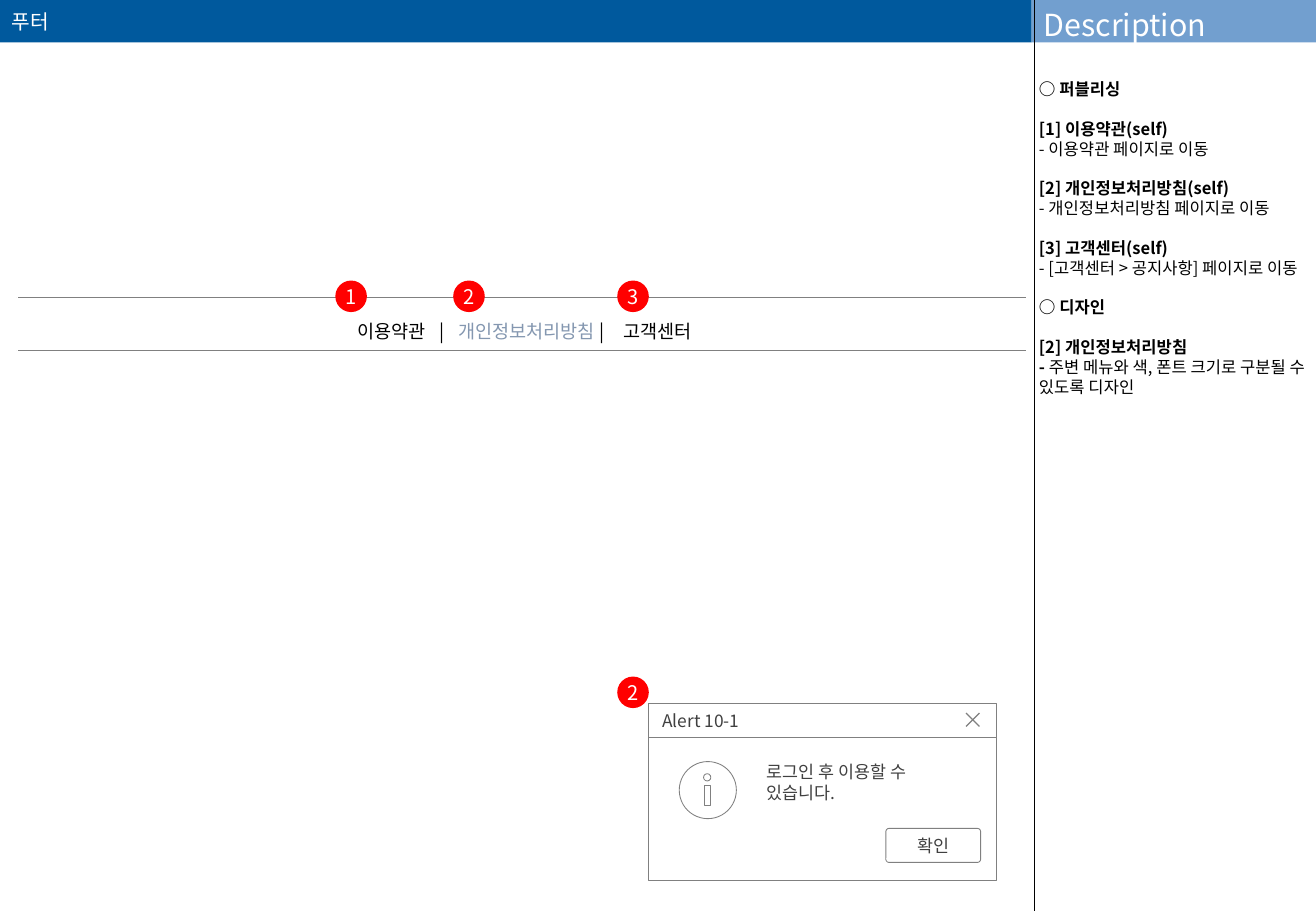
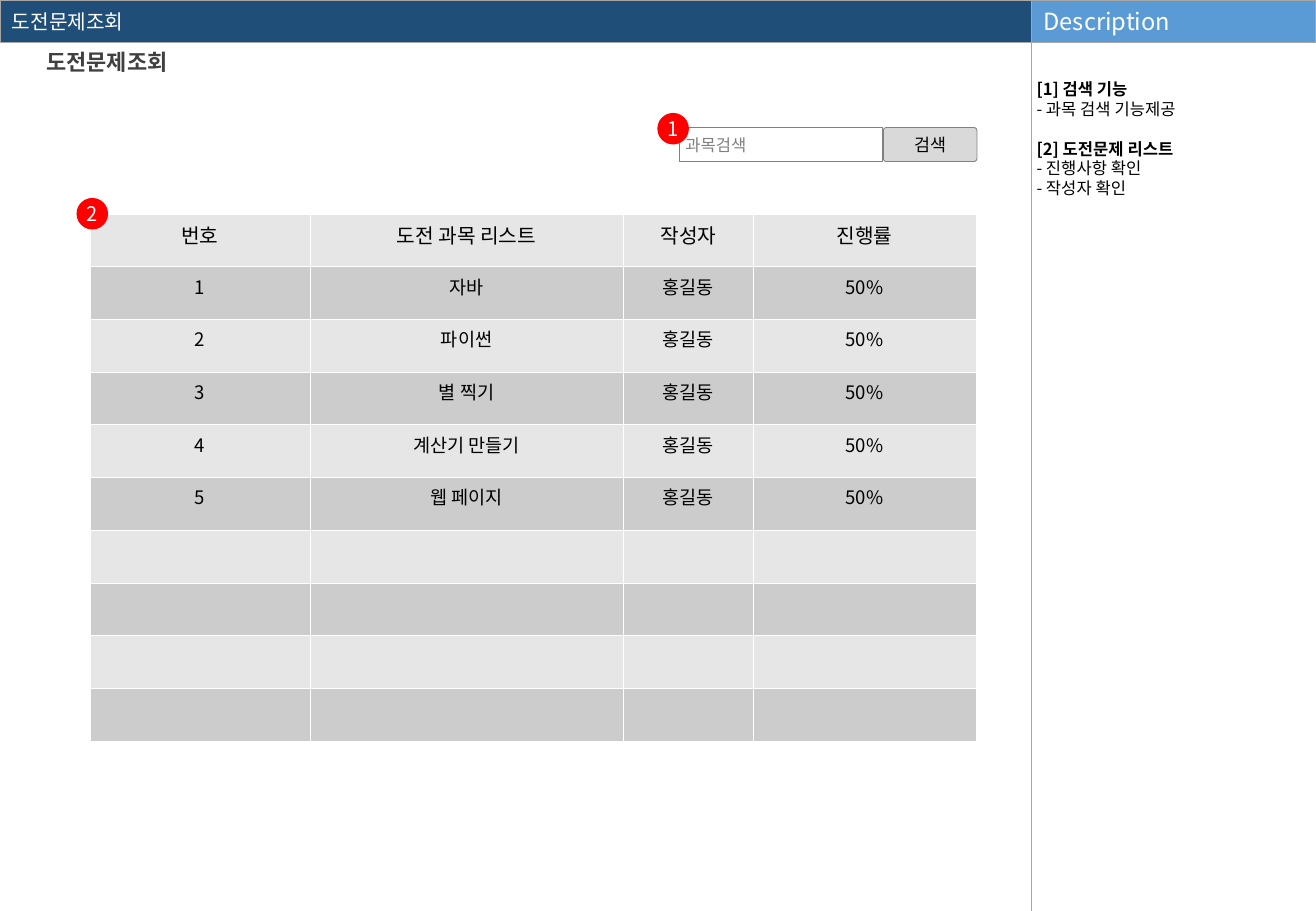
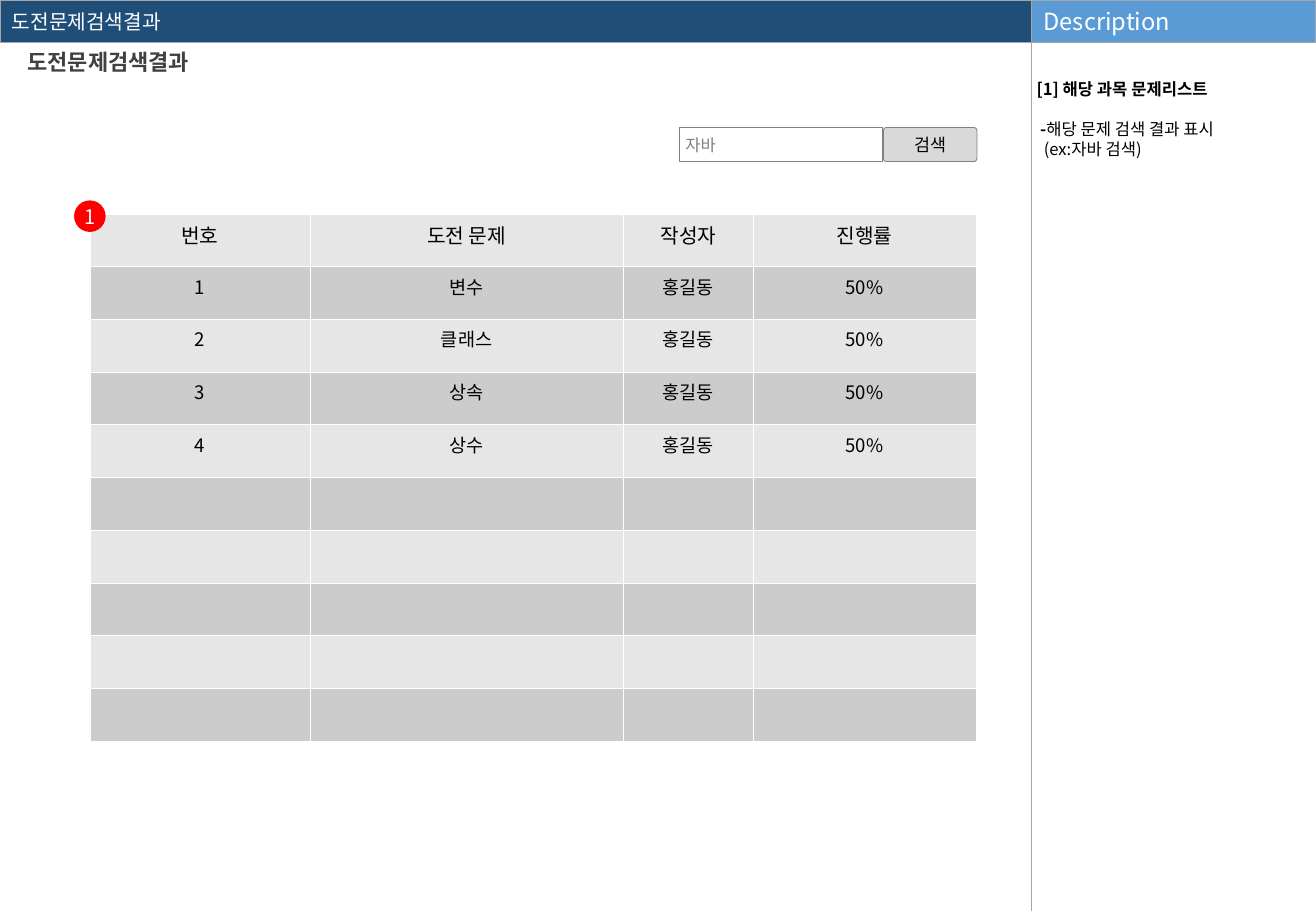
"""Build three storyboard pages: a site footer, a challenge list and its search result."""
from dataclasses import dataclass
from typing import Optional

from lxml.etree import SubElement
from pptx import Presentation
from pptx.dml.color import RGBColor
from pptx.enum.shapes import MSO_CONNECTOR, MSO_SHAPE
from pptx.enum.text import MSO_ANCHOR, PP_ALIGN
from pptx.oxml.ns import qn
from pptx.util import Pt

EMU_PER_PX = 9144
PAGE_WIDTH, PAGE_HEIGHT = 1083, 750
BAND_HEIGHT = 35
PANEL_LEFT = 849
PANEL_WIDTH = PAGE_WIDTH - PANEL_LEFT
BADGE_SIZE = 26
FONT = "Noto Sans CJK KR"
NOTE_SIZE = 9.8
NOTE_GAP = 11.8

COLORS = {
    "white": "FFFFFF",
    "black": "000000",
    "ink": "404040",
    "gray": "808080",
    "rule": "A6A6A6",
    "button": "D9D9D9",
    "row_light": "E6E6E6",
    "row_dark": "CCCCCC",
    "badge": "FF0000",
    "muted_link": "8497B0",
    "footer_band": "00599D",
    "footer_panel": "729FCF",
    "list_band": "1F4E79",
    "list_panel": "5B9BD5",
}


@dataclass(frozen=True)
class Area:
    left: int
    top: int
    width: int
    height: int


@dataclass(frozen=True)
class Span:
    text: str
    color: Optional[str] = None
    bold: Optional[bool] = None


@dataclass(frozen=True)
class Para:
    spans: tuple[Span, ...]
    bold: bool = False
    before: float = 0
    indent: int = 0


@dataclass(frozen=True)
class Style:
    size: float
    color: str = "black"
    align: PP_ALIGN = PP_ALIGN.LEFT
    spacing: Optional[float] = None
    tabs: tuple[int, ...] = ()


@dataclass(frozen=True)
class Frame:
    title: str
    band: str
    panel: str
    panel_size: int
    outline: Optional[str]
    divider: str
    divider_left: int


@dataclass(frozen=True)
class Badge:
    number: str
    left: int
    top: int


@dataclass(frozen=True)
class ListPage:
    title: str
    heading: Area
    query: str
    column: str
    subjects: tuple[str, ...]
    badges: tuple[Badge, ...]
    notes: tuple[Para, ...]


def px(length: int) -> int:
    return length * EMU_PER_PX


def place(area: Area) -> tuple[int, int, int, int]:
    return px(area.left), px(area.top), px(area.width), px(area.height)


def rgb(name: str) -> RGBColor:
    return RGBColor.from_string(COLORS[name])


def plain(text: str, bold: bool = False, before: float = 0, indent: int = 0) -> Para:
    return Para((Span(text),), bold, before, indent)


def head(text: str, before: float = NOTE_GAP) -> Para:
    return plain(text, True, before)


def write(text_frame, paras: tuple[Para, ...], style: Style) -> None:
    for index, para in enumerate(paras):
        paragraph = text_frame.paragraphs[0] if index == 0 else text_frame.add_paragraph()
        paragraph.alignment = style.align
        if para.before:
            paragraph.space_before = Pt(para.before)
        if style.spacing:
            paragraph.line_spacing = style.spacing
        properties = paragraph._p.get_or_add_pPr()
        if para.indent:
            properties.set("marL", str(px(para.indent)))
        if style.tabs:
            tab_list = SubElement(properties, qn("a:tabLst"))
            for position in style.tabs:
                SubElement(tab_list, qn("a:tab"), pos=str(px(position)), algn="l")
        font = paragraph.font
        font.name = FONT
        font.size = Pt(style.size)
        font.bold = para.bold
        font.color.rgb = rgb(style.color)
        SubElement(properties.find(qn("a:defRPr")), qn("a:ea"), typeface=FONT)
        for span in para.spans:
            run = paragraph.add_run()
            run.text = span.text
            if span.color:
                run.font.color.rgb = rgb(span.color)
            if span.bold is not None:
                run.font.bold = span.bold


def set_insets(holder, insets: tuple[int, int, int, int]) -> None:
    holder.margin_left, holder.margin_top, holder.margin_right, holder.margin_bottom = map(px, insets)


def paint(shape, fill: Optional[str], line: Optional[str], weight: float) -> None:
    shape.shadow.inherit = False
    if fill:
        shape.fill.solid()
        shape.fill.fore_color.rgb = rgb(fill)
    else:
        shape.fill.background()
    if line:
        shape.line.color.rgb = rgb(line)
        shape.line.width = Pt(weight)
    else:
        shape.line.fill.background()


def add_box(page, kind: MSO_SHAPE, area: Area, fill: Optional[str] = None,
            line: Optional[str] = None, weight: float = 0.5, text: str = "",
            style: Optional[Style] = None, insets: tuple[int, int, int, int] = (10, 5, 10, 5),
            anchor: MSO_ANCHOR = MSO_ANCHOR.MIDDLE, wrap: bool = True):
    box = page.shapes.add_shape(kind, *place(area))
    paint(box, fill, line, weight)
    if style:
        box.text_frame.word_wrap = wrap
        box.text_frame.vertical_anchor = anchor
        set_insets(box.text_frame, insets)
        write(box.text_frame, (plain(text),), style)
    return box


def add_text(page, area: Area, paras: tuple[Para, ...], style: Style,
             insets: tuple[int, int, int, int], wrap: bool = True) -> None:
    text_frame = page.shapes.add_textbox(*place(area)).text_frame
    text_frame.word_wrap = wrap
    set_insets(text_frame, insets)
    write(text_frame, paras, style)


def add_button(page, area: Area, text: str, fill: str, color: str) -> None:
    button = add_box(page, MSO_SHAPE.ROUNDED_RECTANGLE, area, fill, "gray", text=text,
                     style=Style(10.3, color, PP_ALIGN.CENTER), insets=(5, 5, 5, 5))
    button.adjustments[0] = 0.09


def add_badge(page, badge: Badge) -> None:
    add_box(page, MSO_SHAPE.OVAL, Area(badge.left, badge.top, BADGE_SIZE, BADGE_SIZE), "badge",
            text=badge.number, style=Style(11.9, "white", PP_ALIGN.CENTER),
            insets=(0, 0, 0, 0), wrap=False)


def add_frame(page, frame: Frame, notes: tuple[Para, ...]) -> None:
    notes_left = frame.divider_left
    add_text(page, Area(notes_left, BAND_HEIGHT, PAGE_WIDTH - notes_left, PAGE_HEIGHT - BAND_HEIGHT),
             notes, Style(NOTE_SIZE), (4, 30, 4, 0))
    add_box(page, MSO_SHAPE.RECTANGLE, Area(0, 0, PANEL_LEFT, BAND_HEIGHT), frame.band,
            frame.outline, 1, frame.title, Style(12, "white"))
    anchor = MSO_ANCHOR.MIDDLE if frame.outline else MSO_ANCHOR.TOP
    add_box(page, MSO_SHAPE.RECTANGLE, Area(PANEL_LEFT, 0, PANEL_WIDTH, BAND_HEIGHT), frame.panel,
            frame.outline, 1, "Description", Style(frame.panel_size, "white"), anchor=anchor)
    divider = page.shapes.add_connector(MSO_CONNECTOR.STRAIGHT, px(frame.divider_left), 0,
                                        px(frame.divider_left), px(PAGE_HEIGHT))
    divider.line.color.rgb = rgb(frame.divider)
    divider.line.width = Pt(0.5)
    SubElement(divider._element.spPr, qn("a:effectLst"))


def add_grid(page, area: Area, row_count: int, widths: tuple[int, ...]):
    table = page.shapes.add_table(row_count, len(widths), *place(area)).table
    table.first_row = False
    table.horz_banding = False
    for column, width in zip(table.columns, widths):
        column.width = px(width)
    for row in table.rows:
        row.height = px(area.height) // row_count
    return table


def style_cell(cell, fill: Optional[str], side: str, edge: str, weight: float) -> None:
    properties = cell._tc.get_or_add_tcPr()
    for tag, color in (("lnL", side), ("lnR", side), ("lnT", edge), ("lnB", edge)):
        border = SubElement(properties, qn(f"a:{tag}"), w=str(Pt(weight)))
        SubElement(SubElement(border, qn("a:solidFill")), qn("a:srgbClr"), val=COLORS[color])
    if fill:
        cell.fill.solid()
        cell.fill.fore_color.rgb = rgb(fill)
    else:
        cell.fill.background()


def add_footer_menu(page) -> None:
    cell = add_grid(page, Area(14, 245, 831, 43), 1, (831,)).cell(0, 0)
    style_cell(cell, None, "white", "gray", 0.5)
    set_insets(cell, (280, 5, 11, 5))
    menu = Para((Span("이용약관\t|\t"), Span("개인정보처리방침", "muted_link"), Span(" |\t고객센터")))
    write(cell.text_frame, (menu,), Style(11, spacing=1.5, tabs=(68, 83, 219)))


def add_alert(page) -> None:
    left, width = 534, 286
    add_box(page, MSO_SHAPE.RECTANGLE, Area(left, 607, width, 118), "white", "gray")
    add_text(page, Area(622, 623, 176, 51), (plain("로그인 후 이용할 수 있습니다."),),
             Style(10.3, "ink"), (9, 4, 9, 4))
    add_box(page, MSO_SHAPE.RECTANGLE, Area(left, 579, width, 28), "white", "gray",
            text="Alert 10-1", style=Style(10.3, "ink"), insets=(11, 5, 27, 5))
    builder = page.shapes.build_freeform(px(806), px(587))
    builder.add_line_segments([(px(795), px(598))], close=False)
    builder.move_to(px(795), px(587))
    builder.add_line_segments([(px(806), px(598))], close=False)
    paint(builder.convert_to_shape(), None, "gray", 0.75)
    for kind, area in (
        (MSO_SHAPE.OVAL, Area(559, 627, 47, 47)),
        (MSO_SHAPE.OVAL, Area(579, 637, 6, 6)),
        (MSO_SHAPE.RECTANGLE, Area(580, 647, 5, 16)),
    ):
        add_box(page, kind, area, line="gray")
    add_button(page, Area(729, 682, 78, 28), "확인", "white", "ink")


def add_challenge_table(page, column: str, subjects: tuple[str, ...]) -> None:
    row_count = 10
    rows = [("번호", column, "작성자", "진행률")]
    rows += [(str(number), subject, "홍길동", "50%") for number, subject in enumerate(subjects, 1)]
    table = add_grid(page, Area(74, 176, 729, 434), row_count, (181, 258, 107, 183))
    for row_index in range(row_count):
        fill = "row_dark" if row_index % 2 else "row_light"
        style = Style(11 if row_index else 12, align=PP_ALIGN.CENTER)
        for column_index in range(4):
            cell = table.cell(row_index, column_index)
            style_cell(cell, fill, "white", "white", 0.06)
            set_insets(cell, (10, 5, 10, 5))
            if row_index < len(rows):
                write(cell.text_frame, (plain(rows[row_index][column_index]),), style)


def build_footer_page(page) -> None:
    notes = (
        head("○ 퍼블리싱", 0),
        head("[1] 이용약관(self)"),
        plain("- 이용약관 페이지로 이동"),
        head("[2] 개인정보처리방침(self)"),
        plain("- 개인정보처리방침 페이지로 이동"),
        head("[3] 고객센터(self)"),
        plain("- [고객센터 > 공지사항] 페이지로 이동"),
        head("○ 디자인"),
        head("[2] 개인정보처리방침"),
        Para((Span("- ", bold=True), Span("주변 메뉴와 색, 폰트 크기로 구분될 수 있도록 디자인"))),
    )
    add_footer_menu(page)
    add_alert(page)
    add_frame(page, Frame("푸터", "footer_band", "footer_panel", 18, None, "black", 851), notes)
    for badge in (Badge("1", 276, 231), Badge("2", 373, 231), Badge("3", 508, 231),
                  Badge("2", 508, 557)):
        add_badge(page, badge)


def build_list_page(page, content: ListPage) -> None:
    add_text(page, content.heading, (plain(content.title, True),),
             Style(13, "ink", PP_ALIGN.CENTER), (10, 5, 10, 5), wrap=False)
    add_box(page, MSO_SHAPE.RECTANGLE, Area(559, 105, 167, 28), line="gray", text=content.query,
            style=Style(9.8, "gray"), insets=(5, 5, 5, 5))
    add_button(page, Area(727, 105, 77, 28), "검색", "button", "black")
    add_challenge_table(page, content.column, content.subjects)
    for badge in content.badges:
        add_badge(page, badge)
    add_frame(page, Frame(content.title, "list_band", "list_panel", 14, "rule", "rule", PANEL_LEFT),
              content.notes)


LIST_PAGES = (
    ListPage(
        "도전문제조회", Area(24, 35, 128, 31), "과목검색", "도전 과목 리스트",
        ("자바", "파이썬", "별 찍기", "계산기 만들기", "웹 페이지"),
        (Badge("1", 541, 93), Badge("2", 63, 163)),
        (
            head("[1] 검색 기능", 0),
            plain("- 과목 검색 기능제공"),
            head("[2] 도전문제 리스트"),
            plain("- 진행사항 확인"),
            plain("- 작성자 확인"),
        ),
    ),
    ListPage(
        "도전문제검색결과", Area(7, 35, 164, 31), "자바", "도전 문제",
        ("변수", "클래스", "상속", "상수"),
        (Badge("1", 61, 165),),
        (
            head("[1] 해당 과목 문제리스트", 0),
            Para((Span("-", bold=True), Span("해당 문제 검색 결과 표시")), before=NOTE_GAP, indent=3),
            plain("(ex:자바 검색)", indent=6),
        ),
    ),
)


def main() -> None:
    deck = Presentation()
    deck.slide_width, deck.slide_height = px(PAGE_WIDTH), px(PAGE_HEIGHT)
    blank = deck.slide_layouts[6]
    build_footer_page(deck.slides.add_slide(blank))
    for content in LIST_PAGES:
        build_list_page(deck.slides.add_slide(blank), content)
    deck.save("out.pptx")


if __name__ == "__main__":
    main()
